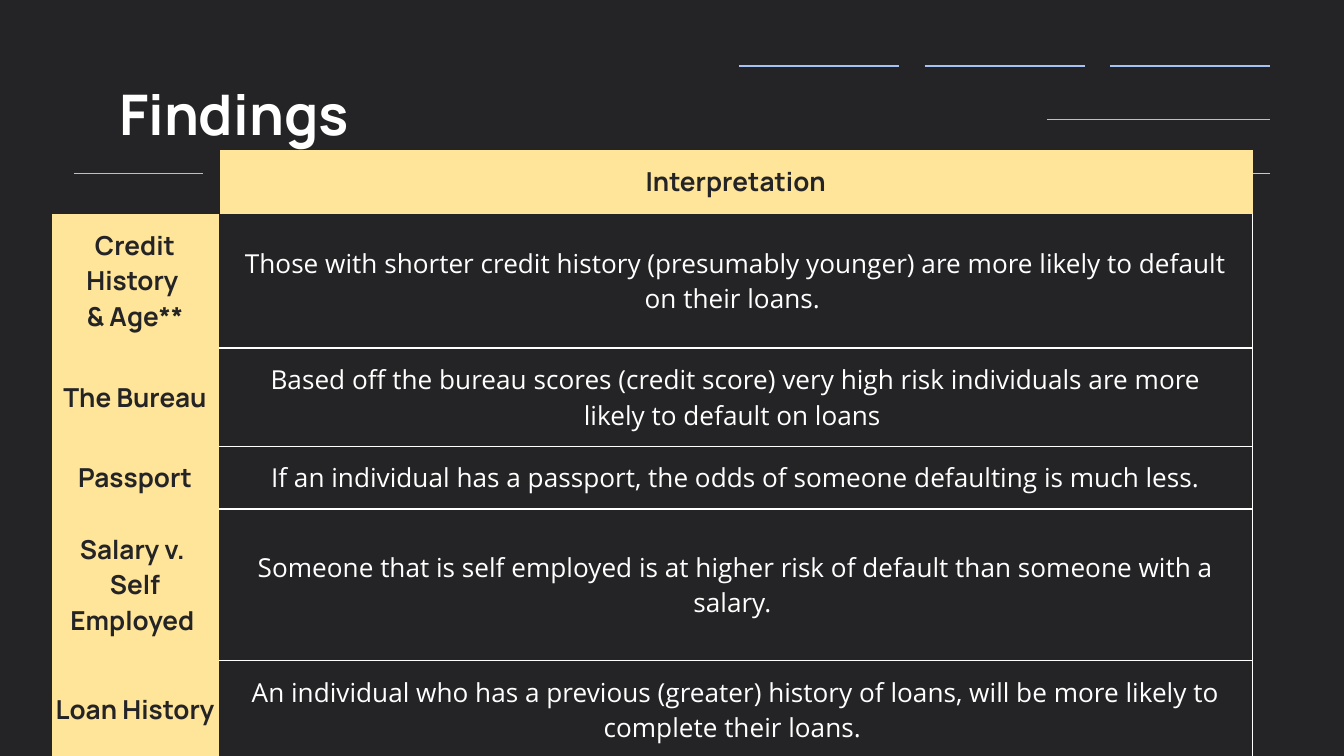
from lxml.etree import SubElement
from pptx import Presentation
from pptx.dml.color import RGBColor
from pptx.enum.shapes import MSO_CONNECTOR
from pptx.enum.text import MSO_ANCHOR, PP_ALIGN
from pptx.oxml.ns import qn
from pptx.util import Inches, Pt

DARK, WHITE, YELLOW, BLUE, GREEN = "242426", "FFFFFF", "FFE599", "A4C2F4", "B6D7A8"


def color(value):
    return RGBColor.from_string(value)


def format_text(paragraph, size, font, value, bold):
    for span in paragraph.runs:
        span.font.size = Pt(size)
        span.font.name = font
        span.font.bold = bold
        span.font.color.rgb = color(value)


deck = Presentation()
deck.slide_width = Inches(10)
deck.slide_height = deck.slide_width * 9 // 16
page = deck.slides.add_slide(deck.slide_layouts[6])
page.background.fill.solid()
page.background.fill.fore_color.rgb = color(DARK)

first_line, line_step, right_edge = 0.49, 0.4, 9.45
rules = [(right_edge - 1.19 - 1.38 * column, right_edge - 1.38 * column, 0, BLUE) for column in range(3)]
rules += [(7.79, right_edge, 1, BLUE), (0.55, 1.51, 2, BLUE), (7.2, right_edge, 2, GREEN)]
for left, right, level, value in rules:
    height = Inches(first_line + line_step * level)
    rule = page.shapes.add_connector(MSO_CONNECTOR.STRAIGHT, Inches(left), height, Inches(right), height)
    rule.line.color.rgb = color(value)
    rule.line.width = Pt(0.75)
    SubElement(rule._element.spPr, qn("a:effectLst"))

findings = [
    ("", "Interpretation", 0.48),
    ("Credit History \n& Age**",
     "Those with shorter credit history (presumably younger) are more likely to default on their loans. ", 0.9),
    ("The Bureau",
     "Based off the bureau scores (credit score) very high risk individuals are more likely to default on loans ", 0.67),
    ("Passport", "If an individual has a passport, the odds of someone defaulting is much less.", 0.43),
    ("Salary v. \nSelf Employed ",
     "Someone that is self employed is at higher risk of default than someone with a salary. ", 1.13),
    ("Loan History",
     "An individual who has a previous (greater) history of loans, will be more likely to complete their loans. ", 0.67),
]
widths = [1.25, 7.69]
total_height = sum(height for _, _, height in findings)
frame = page.shapes.add_table(len(findings), 2, Inches(0.38), Inches(1.11), Inches(sum(widths)), Inches(total_height))
table = frame.table
table.first_row = table.horz_banding = False
table._tbl.tblPr.find(qn("a:tableStyleId")).text = "{2D5ABB26-0587-4C30-8999-92F81FD0307C}"
for column, width in zip(table.columns, widths):
    column.width = Inches(width)

last_row = len(findings) - 1
for row, (label, interpretation, height) in enumerate(findings):
    table.rows[row].height = Inches(height)
    for column, text in enumerate((label, interpretation)):
        cell = table.cell(row, column)
        is_heading = row == 0 or column == 0
        is_body = not is_heading
        cell.text_frame.text = text
        cell.vertical_anchor = MSO_ANCHOR.MIDDLE
        cell.margin_top = cell.margin_bottom = Inches(0.1)
        cell.margin_left = cell.margin_right = Inches(0.14 if is_body else 0 if row else 0.1)
        for para in cell.text_frame.paragraphs:
            para.alignment = PP_ALIGN.CENTER
            para.font.size = Pt(14)
            if is_heading:
                format_text(para, 14, "Manrope", DARK, True)
            else:
                format_text(para, 14, "Open Sans", WHITE, False)

        borders = {}
        if is_body:
            borders["R"] = WHITE
            if row > 1:
                borders["T"] = WHITE
            if row < last_row:
                borders["B"] = WHITE
        elif row == 0:
            borders = {"L": DARK, "T": DARK} if column else {"R": DARK, "B": DARK}
        else:
            borders["L"] = DARK
            if row == 1:
                borders["T"] = DARK
            if row == last_row:
                borders["B"] = DARK
        properties = cell._tc.get_or_add_tcPr()
        for side in "LRTB":
            edge = SubElement(properties, qn(f"a:ln{side}"), w=str(Pt(0.75)))
            if side in borders:
                fill = SubElement(edge, qn("a:solidFill"))
                SubElement(fill, qn("a:srgbClr"), val=borders[side])
            else:
                SubElement(edge, qn("a:noFill"))
        if is_heading and text:
            cell.fill.solid()
            cell.fill.fore_color.rgb = color(YELLOW)
        else:
            cell.fill.background()

title = page.shapes.add_textbox(Inches(0.79), Inches(0.49), Inches(8.43), Inches(0.63))
title_frame = title.text_frame
title_frame.word_wrap = True
title_frame.margin_left = title_frame.margin_right = Inches(0.1)
title_frame.margin_top = title_frame.margin_bottom = Inches(0.1)
title_frame.text = "Findings"
format_text(title_frame.paragraphs[0], 30, "Manrope", WHITE, True)

deck.save("out.pptx")
